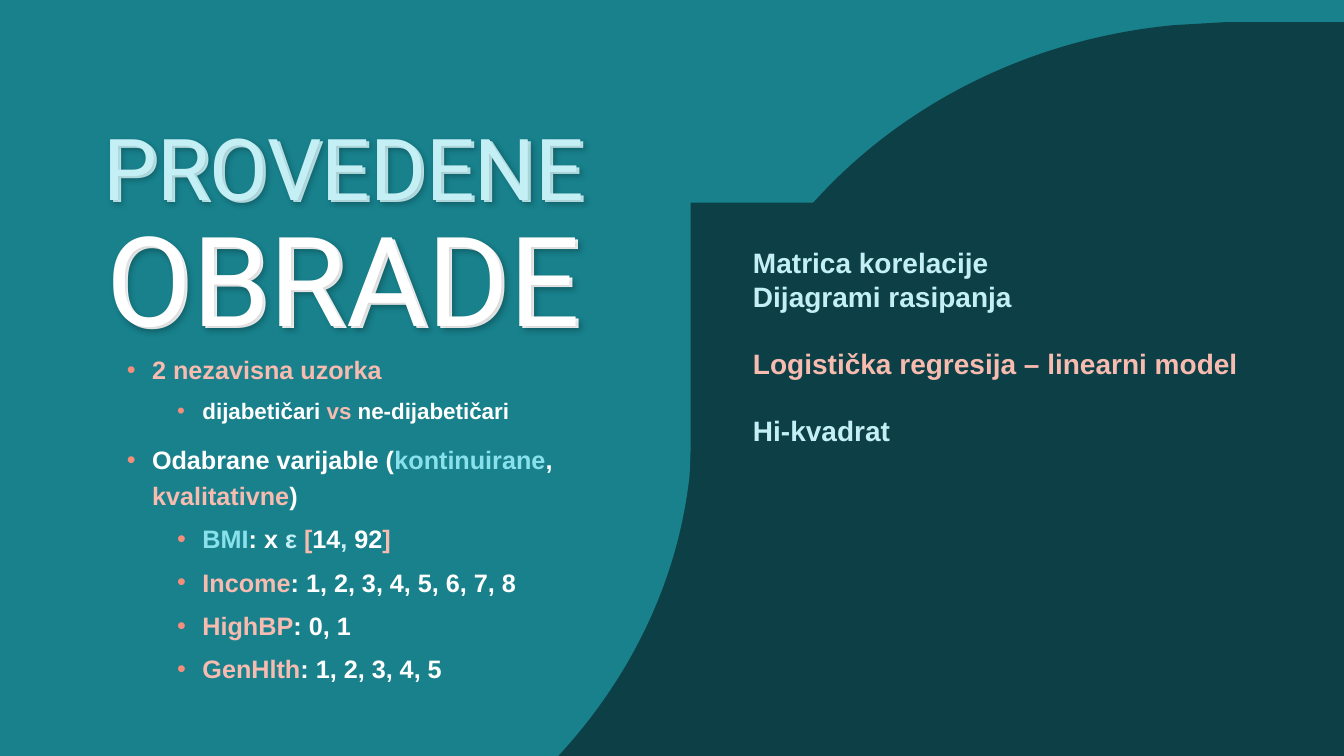
from lxml import etree
from pptx import Presentation
from pptx.dml.color import RGBColor
from pptx.enum.text import MSO_ANCHOR, PP_ALIGN
from pptx.oxml.ns import qn
from pptx.util import Inches, Pt

TOP = MSO_ANCHOR.TOP
CENTER, LEFT = PP_ALIGN.CENTER, PP_ALIGN.LEFT
WIDTH, HEIGHT = 13.33, 7.5

TEAL, DARK, WHITE = "18818C", "0C4046", "FFFFFF"
ICE, AQUA, PEACH, CORAL = "C4F0F5", "89E1EB", "F8BBB0", "F48E7C"

# Each title line: text, size, colour
TITLE = [("PROVEDENE", 61, ICE), ("OBRADE", 89, WHITE)]

# Each bullet: level, size, coloured spans
BULLETS = [
    (0, 18, [("2 nezavisna uzorka", PEACH)]),
    (1, 16, [("dijabetičari ", WHITE), ("vs", PEACH), (" ne-dijabetičari", WHITE)]),
    (0, 18, [("Odabrane varijable (", WHITE), ("kontinuirane", AQUA), (", ", WHITE),
             ("kvalitativne", PEACH), (")", WHITE)]),
    (1, 18, [("BMI", AQUA), (": x ", WHITE), ("ε ", ICE), ("[", PEACH), ("14", WHITE),
             (", ", ICE), ("92", WHITE), ("]", PEACH)]),
    (1, 18, [("Income", PEACH), (": 1, 2, 3, 4, 5, 6, 7, 8", WHITE)]),
    (1, 18, [("HighBP", PEACH), (": 0, 1", WHITE)]),
    (1, 18, [("GenHlth", PEACH), (": 1, 2, 3, 4, 5", WHITE)]),
]

# Each method: text, colour, space before
METHODS = [
    ("Matrica korelacije", ICE, 0),
    ("Dijagrami rasipanja", ICE, 0),
    ("Logistička regresija – linearni model", PEACH, 24),
    ("Hi-kvadrat", ICE, 24),
]


def paint(fill, color):
    fill.solid()
    fill.fore_color.rgb = RGBColor.from_string(color)


def set_all(target, values):
    for name, value in values.items():
        setattr(target, name, value)


def add_curved_panel(page, origin, straight, bend, color):
    """Straight corners, then one cubic bend: two controls and an end, relative to origin."""
    points = [(Inches(origin[0] + x), Inches(origin[1] + y)) for x, y in straight + bend]
    builder = page.shapes.build_freeform(*points[0])
    builder.add_line_segments(points[1:], close=True)
    panel = builder.convert_to_shape()
    paint(panel.fill, color)
    panel.line.fill.background()
    panel.shadow.inherit = False
    # The last three segments become one curve
    segments = list(panel._element.iter(qn("a:lnTo")))[len(straight) - 1:len(straight) + 2]
    arc = etree.Element(qn("a:cubicBezTo"))
    segments[0].addprevious(arc)
    for segment in segments:
        arc.append(segment[0])
        segment.getparent().remove(segment)


def add_text_frame(page, box):
    shape = page.shapes.add_textbox(*map(Inches, box))
    set_all(shape.text_frame, {"word_wrap": True, "vertical_anchor": TOP})
    return shape


def add_paragraph(frame, index, spans, size, font, bold, layout):
    para = frame.paragraphs[0] if index == 0 else frame.add_paragraph()
    set_all(para, layout)
    for text, color in spans:
        span = para.add_run()
        span.text = text
        set_all(span.font, {"size": Pt(size), "name": font, "bold": bold})
        paint(span.font.fill, color)
    return para


def add_bullet(para, level):
    properties = para._p.get_or_add_pPr()
    properties.set("marL", str(Inches(0.25 + 0.5 * level)))
    properties.set("indent", str(-Inches(0.25)))
    bullet_color = etree.SubElement(properties, qn("a:buClr"))
    etree.SubElement(bullet_color, qn("a:srgbClr"), val=CORAL)
    etree.SubElement(properties, qn("a:buFont"), typeface="Arial")
    etree.SubElement(properties, qn("a:buChar"), char="•")


def add_soft_shadow(shape):
    effects = etree.SubElement(shape._element.spPr, qn("a:effectLst"))
    shadow = etree.SubElement(effects, qn("a:outerShdw"), blurRad=str(Pt(4)), dist=str(Pt(2)),
                              dir="2700000", algn="tl", rotWithShape="0")
    tint = etree.SubElement(shadow, qn("a:srgbClr"), val="000000")
    etree.SubElement(tint, qn("a:alpha"), val="15000")


def add_title(page, box):
    left, top, width, height = box
    # The lower layer sits slightly down and right for a raised look
    for right_shift, down_shift in ((0.03, 0.02), (0, 0)):
        shape = add_text_frame(page, (left + right_shift, top + down_shift, width, height))
        for index, (text, size, color) in enumerate(TITLE):
            add_paragraph(shape.text_frame, index, [(text, color)], size, "Roboto", False,
                          {"alignment": CENTER, "line_spacing": 0.9})
        add_soft_shadow(shape)


def add_bullets(page, box):
    frame = add_text_frame(page, box).text_frame
    for index, (level, size, spans) in enumerate(BULLETS):
        layout = {"alignment": LEFT, "level": level, "line_spacing": 1.2,
                  "space_before": Pt(5 if level else 10)}
        add_bullet(add_paragraph(frame, index, spans, size, "Arial", True, layout), level)


def add_methods(page, box):
    frame = add_text_frame(page, box).text_frame
    for index, (text, color, gap) in enumerate(METHODS):
        add_paragraph(frame, index, [(text, color)], 20, "Arial", True,
                      {"alignment": LEFT, "space_before": Pt(gap)})


def add_backdrop(page):
    paint(page.background.fill, TEAL)
    # Dark panel bleeding off the lower right
    add_curved_panel(page, (1.79, 2.01),
                     [(2.17, 16.23), (0, 16.23), (0, 0), (11.54, 0), (11.54, 8.33), (11.52, 8.75)],
                     [(11.09, 12.67), (7.54, 15.79), (3.07, 16.19)], DARK)
    # Teal panel bleeding off the upper left
    add_curved_panel(page, (-0.46, -0.83),
                     [(1.37, 10.28), (0, 10.28), (0, 0), (7.31, 0), (7.31, 5.27), (7.3, 5.54)],
                     [(7.03, 8.02), (4.78, 10), (1.94, 10.25)], TEAL)
    # Dark panel with the rounded upper left corner
    add_curved_panel(page, (6.85, 0.22),
                     [(5.3, 0), (6.53, 0), (6.53, 9.64), (0, 9.64), (0, 4.7), (0.02, 4.45)],
                     [(0.26, 2.12), (2.26, 0.27), (4.79, 0.03)], DARK)


def main():
    deck = Presentation()
    set_all(deck, {"slide_width": Inches(WIDTH), "slide_height": Inches(HEIGHT)})
    page = deck.slides.add_slide(deck.slide_layouts[6])
    add_backdrop(page)
    add_title(page, (0.63, 1.21, 5.56, 2.46))
    add_bullets(page, (1.16, 3.41, 5.56, 3.37))
    add_methods(page, (7.37, 2.39, 5.67, 2.12))
    deck.save("out.pptx")


if __name__ == "__main__":
    main()
